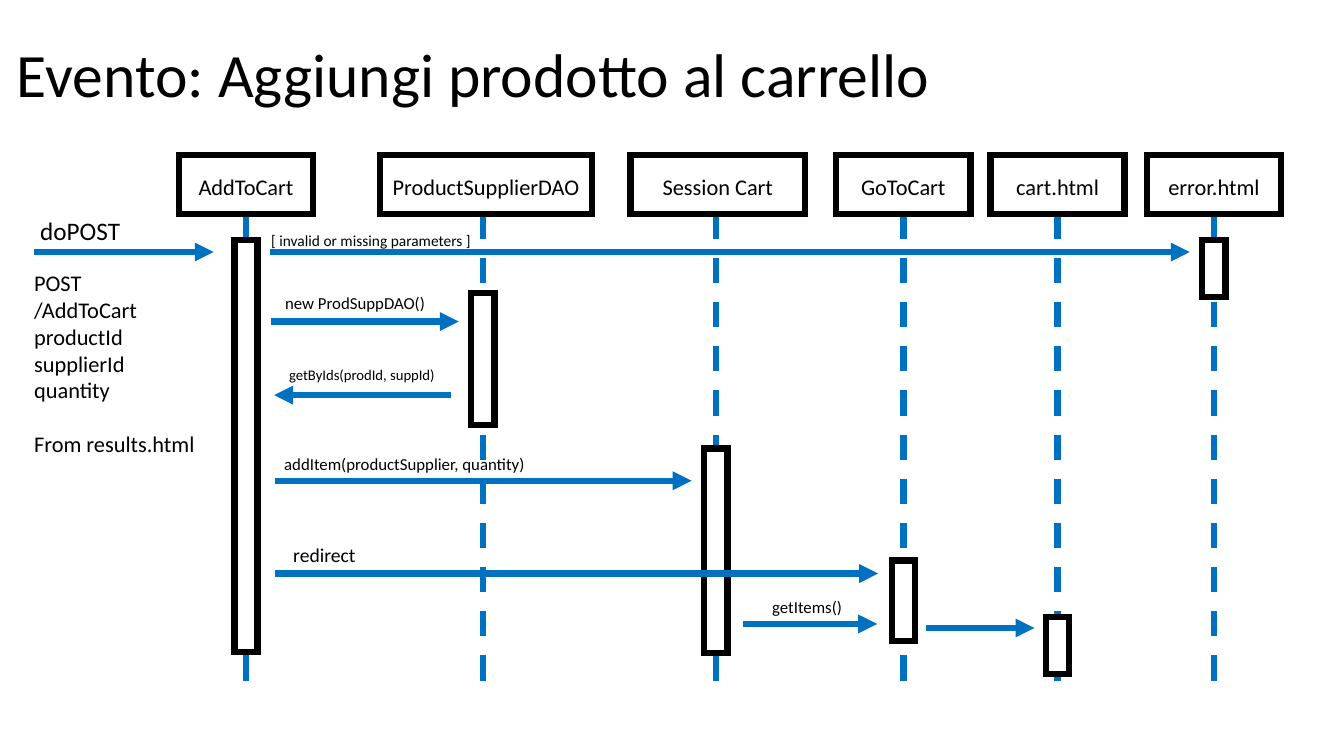
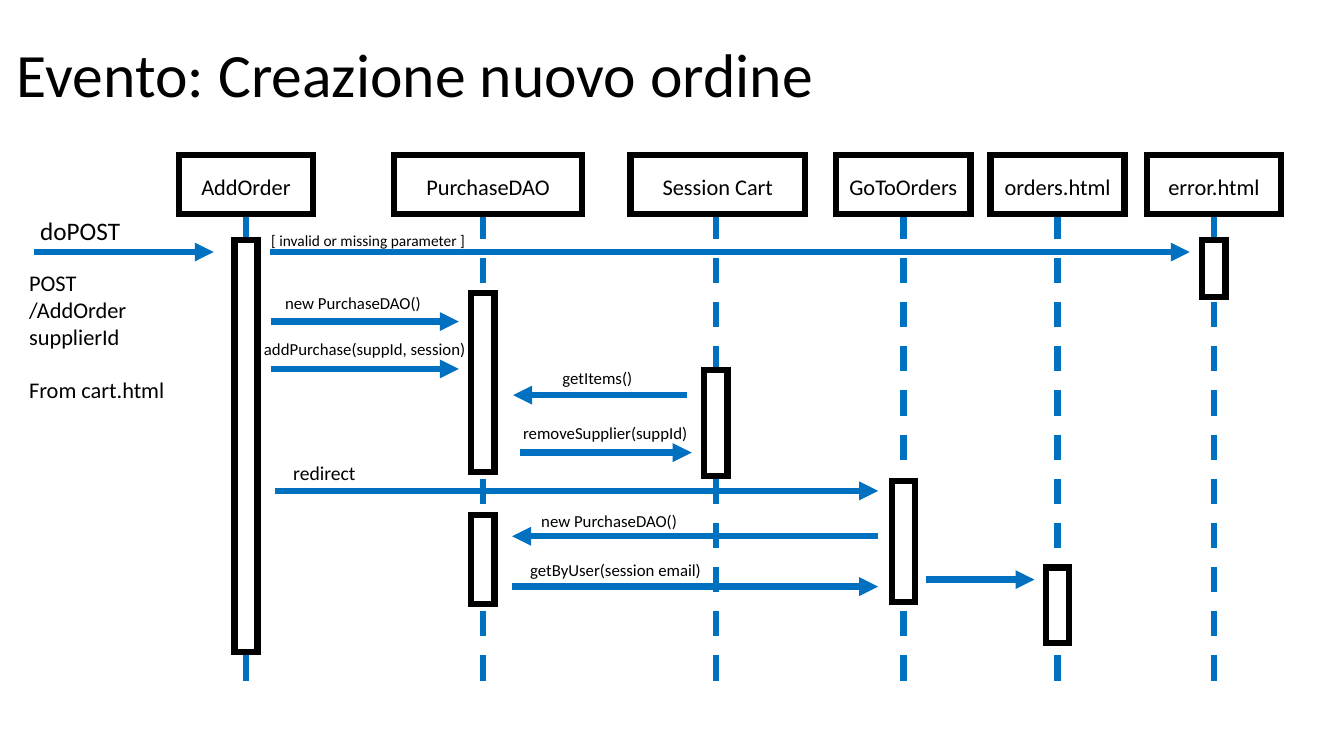
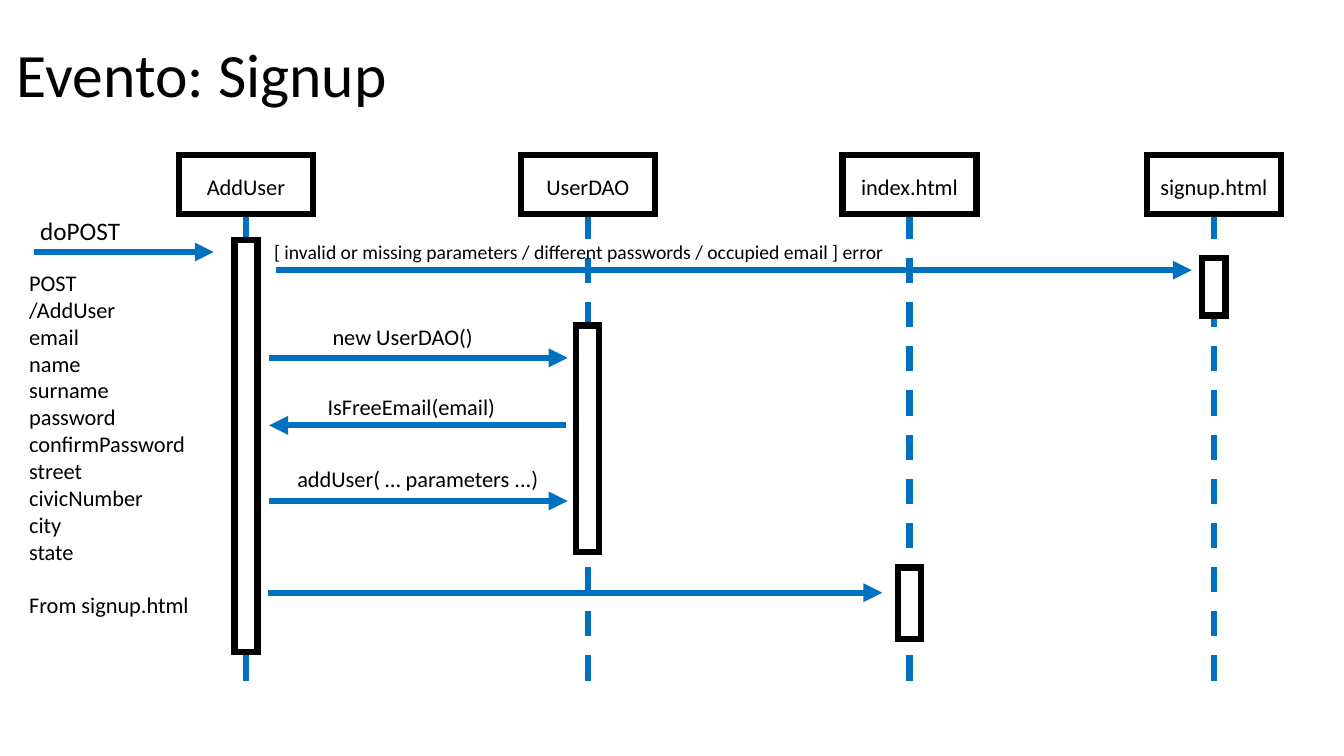
from dataclasses import dataclass

from lxml.etree import SubElement
from pptx import Presentation
from pptx.dml.color import RGBColor
from pptx.enum.dml import MSO_LINE
from pptx.enum.shapes import MSO_CONNECTOR, MSO_SHAPE
from pptx.enum.text import MSO_ANCHOR, PP_ALIGN
from pptx.oxml.ns import qn
from pptx.util import Inches, Pt


@dataclass(frozen=True)
class Theme:
    font: str = "Calibri"
    ink: RGBColor = RGBColor(0x00, 0x00, 0x00)
    paper: RGBColor = RGBColor(0xFF, 0xFF, 0xFF)
    accent: RGBColor = RGBColor(0x00, 0x70, 0xC0)
    stroke: float = 4.5
    title_size: float = 44
    call_size: float = 18
    body_size: float = 16
    redirect_size: float = 14
    label_size: float = 12
    guard_size: float = 11
    small_size: float = 10.5


THEME = Theme()

# Shared diagram geometry, in inches
HEAD_TOP, HEAD_HEIGHT, HEAD_WIDTH = 1.54, 0.58, 1.33
LIFE_TOP, LIFE_BOTTOM = 2.12, 6.86
BAR_WIDTH = 0.23
SERVLET_X, SERVLET_BAR = 2.44, (2.38, 4.09)
DAO_X, SESSION_X, GO_TO_X, PAGE_X, ERROR_X = 4.79, 7.1, 8.96, 10.49, 12.04
ERROR_BAR = (2.38, 0.57)


@dataclass(frozen=True)
class Participant:
    name: str
    x: float
    bars: tuple  # (top, height) of each activation
    width: float = HEAD_WIDTH
    shift: float = 0  # head centre relative to the lifeline


@dataclass(frozen=True)
class Message:
    start: float
    end: float
    y: float
    text: str = ""
    left: float = 0
    top: float = 0
    width: float = 2.07
    size: float = THEME.label_size


def write_text(frame, lines, size=THEME.body_size, align=PP_ALIGN.LEFT,
               anchor=MSO_ANCHOR.TOP, wrap=True, spacing=None, last_gap=0):
    """Fill a text frame; last_gap is the space in points above the last line."""
    frame.word_wrap = wrap
    frame.vertical_anchor = anchor
    for index, line in enumerate(lines):
        paragraph = frame.add_paragraph() if index else frame.paragraphs[0]
        paragraph.alignment = align
        if spacing:
            paragraph.line_spacing = spacing
        if last_gap and index == len(lines) - 1:
            paragraph.space_before = Pt(last_gap)
        run = paragraph.add_run()
        run.text = line
        run.font.name = THEME.font
        run.font.size = Pt(size)
        run.font.color.rgb = THEME.ink


def add_text(slide, left, top, width, lines, height=None, size=THEME.body_size, **format):
    if height is None:
        height = round(len(lines) * size * 1.2 / 72 + 0.1, 2)
    box = slide.shapes.add_textbox(Inches(left), Inches(top), Inches(width), Inches(height))
    write_text(box.text_frame, lines, size=size, **format)


def add_box(slide, left, top, width, height):
    shape = slide.shapes.add_shape(MSO_SHAPE.RECTANGLE, Inches(left), Inches(top),
                                   Inches(width), Inches(height))
    shape.shadow.inherit = False
    shape.fill.solid()
    shape.fill.fore_color.rgb = THEME.paper
    shape.line.color.rgb = THEME.ink
    shape.line.width = Pt(THEME.stroke)
    SubElement(shape.line._ln, qn("a:miter"), lim="800000")
    return shape


def add_line(slide, start, end, dashed=False, arrow=False):
    line = slide.shapes.add_connector(MSO_CONNECTOR.STRAIGHT,
                                      *(Inches(value) for value in (*start, *end)))
    line.line.color.rgb = THEME.accent
    line.line.width = Pt(THEME.stroke)
    if dashed:
        line.line.dash_style = MSO_LINE.DASH
    if arrow:
        SubElement(line.line._ln, qn("a:tailEnd"), type="triangle")
    SubElement(line._element.spPr, qn("a:effectLst"))


def add_participant(slide, participant):
    x = participant.x
    add_line(slide, (x, LIFE_TOP), (x, LIFE_BOTTOM), dashed=True)
    head = add_box(slide, x + participant.shift - participant.width / 2, HEAD_TOP,
                   participant.width, HEAD_HEIGHT)
    frame = head.text_frame
    frame.margin_left = frame.margin_right = frame.margin_bottom = 0
    frame.margin_top = Inches(0.05)
    write_text(frame, [participant.name], align=PP_ALIGN.CENTER,
               anchor=MSO_ANCHOR.MIDDLE, wrap=False)
    for top, height in participant.bars:
        add_box(slide, x - BAR_WIDTH / 2, top, BAR_WIDTH, height)


def add_message(slide, message):
    add_line(slide, (message.start, message.y), (message.end, message.y), arrow=True)
    if message.text:
        add_text(slide, message.left, message.top, message.width, [message.text],
                 size=message.size)


def add_sequence(presentation, title, servlet, request, request_left, participants, messages):
    """Build one slide: title, incoming request, lifelines and messages."""
    slide = presentation.slides.add_slide(presentation.slide_layouts[6])
    add_text(slide, 0.07, 0.04, 11.12, [title], height=1.45, size=THEME.title_size,
             anchor=MSO_ANCHOR.MIDDLE, spacing=0.9)
    add_text(slide, request_left, 2.62, 1.88, ["POST", f"/{servlet}", *request],
             last_gap=THEME.body_size * 1.2)
    for participant in (Participant(servlet, SERVLET_X, (SERVLET_BAR,)), *participants):
        add_participant(slide, participant)
    incoming = Message(0.34, 2.12, 2.5, "doPOST", 0.3, 2.09, 1.01, THEME.call_size)
    for message in (incoming, *messages):
        add_message(slide, message)


def session_cart(*bars):
    return Participant("Session Cart", SESSION_X, bars, 1.73, 0.02)


def guard_message(text):
    return Message(2.68, 11.8, 2.5, text, 2.59, 2.24, 2.81, THEME.guard_size)


def redirect_message(y):
    return Message(2.73, 8.71, y, "redirect", 2.81, y - 0.35, size=THEME.redirect_size)


def main():
    presentation = Presentation()
    presentation.slide_width, presentation.slide_height = Inches(13.33), Inches(7.5)
    error_page = Participant("error.html", ERROR_X, (ERROR_BAR,))

    # Add a product to the cart
    add_sequence(
        presentation, "Evento: Aggiungi prodotto al carrello", "AddToCart",
        ["productId", "supplierId", "quantity", "From results.html"], 0.24,
        [
            Participant("ProductSupplierDAO", DAO_X, ((2.91, 1.31),), 2.1, 0.03),
            session_cart((4.45, 2.03)),
            Participant("GoToCart", GO_TO_X, ((5.56, 0.8),)),
            Participant("cart.html", PAGE_X, ((6.12, 0.57),)),
            error_page,
        ],
        [
            guard_message("[ invalid or missing parameters ]"),
            Message(2.69, 4.55, 3.19, "new ProdSuppDAO()", 2.73, 2.86),
            Message(4.47, 2.72, 3.92, "getByIds(prodId, suppId)", 2.77, 3.58, 1.7,
                    THEME.small_size),
            Message(2.73, 6.86, 4.77, "addItem(productSupplier, quantity)", 2.72, 4.45, 2.71),
            redirect_message(5.69),
            Message(7.37, 8.7, 6.19, "getItems()", 7.56, 5.87, 0.95),
            Message(9.18, 10.26, 6.23),
        ])

    # Create a new order
    add_sequence(
        presentation, "Evento: Creazione nuovo ordine", "AddOrder",
        ["supplierId", "From cart.html"], 0.19,
        [
            Participant("PurchaseDAO", DAO_X, ((2.91, 1.77), (5.11, 0.88)), 1.87, 0.05),
            session_cart((3.67, 1.05)),
            Participant("GoToOrders", GO_TO_X, ((4.77, 1.2),)),
            Participant("orders.html", PAGE_X, ((5.63, 0.75),)),
            error_page,
        ],
        [
            guard_message("[ invalid or missing parameter ]"),
            Message(2.69, 4.55, 3.19, "new PurchaseDAO()", 2.73, 2.86),
            Message(2.69, 4.55, 3.66, "addPurchase(suppId, session)", 2.52, 3.31, 2.27),
            Message(6.81, 5.09, 3.92, "getItems()", 5.48, 3.6, 0.95),
            Message(5.16, 6.86, 4.49, "removeSupplier(suppId)", 5.09, 4.14, 1.84),
            redirect_message(4.87),
            Message(8.71, 5.08, 5.32, "new PurchaseDAO()", 5.27, 5.02, 1.84),
            Message(5.08, 8.71, 5.82, "getByUser(session email)", 5.16, 5.5, 1.97),
            Message(9.18, 10.26, 5.75),
        ])

    # Sign up
    add_sequence(
        presentation, "Evento: Signup", "AddUser",
        ["email", "name", "surname", "password", "confirmPassword", "street",
         "civicNumber", "city", "state", "From signup.html"], 0.19,
        [
            Participant("UserDAO", 5.83, ((3.23, 2.25),)),
            Participant("index.html", 9.02, ((5.63, 0.71),)),
            Participant("signup.html", ERROR_X, ((2.56, 0.57),)),
        ],
        [
            Message(2.74, 11.82, 2.68,
                    "[ invalid or missing parameters / different passwords / "
                    "occupied email ] error", 2.62, 2.33, 7, THEME.redirect_size),
            Message(2.67, 5.63, 3.55, "new UserDAO()", 3.2, 3.16, 1.64, THEME.body_size),
            Message(5.61, 2.67, 4.22, "IsFreeEmail(email)", 3.15, 3.85, 1.91,
                    THEME.body_size),
            Message(2.67, 5.63, 4.97, "addUser( … parameters ...)", 2.85, 4.57, 2.68,
                    THEME.body_size),
            Message(2.66, 8.75, 5.88),
        ])

    presentation.save("out.pptx")


if __name__ == "__main__":
    main()
